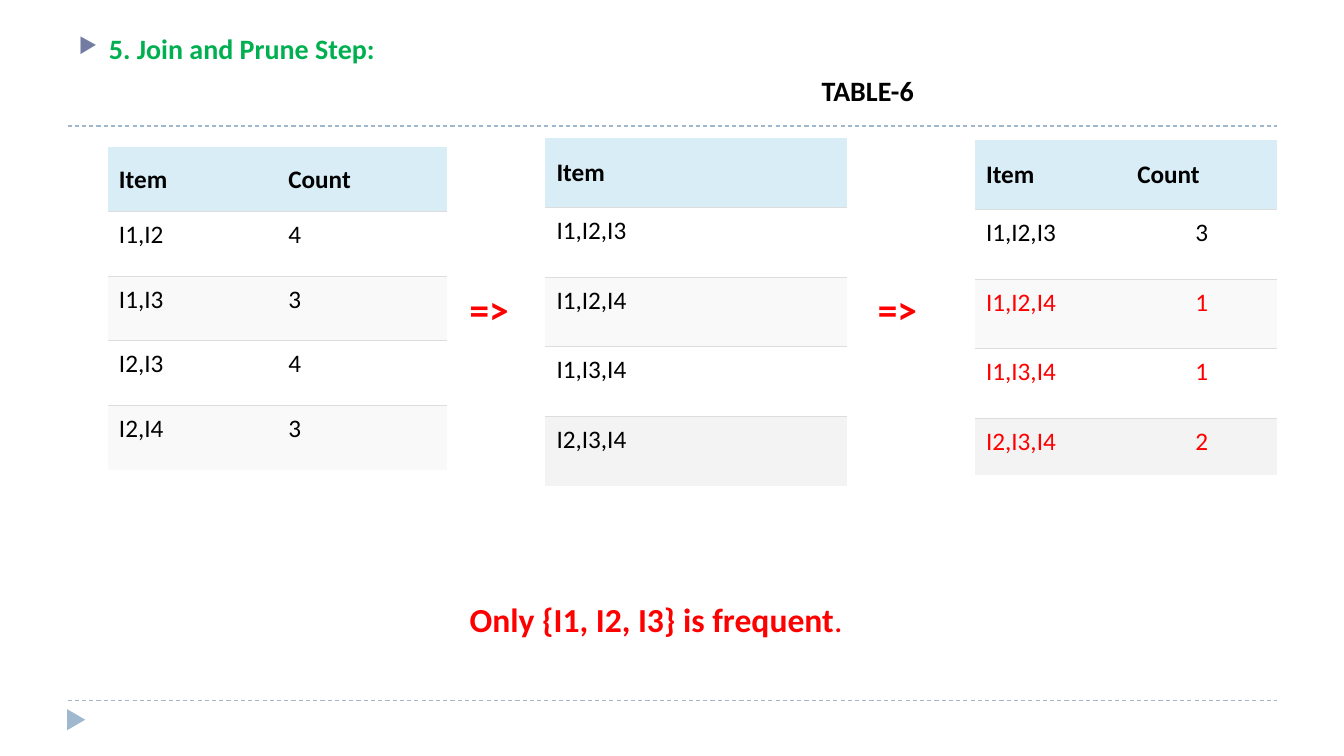
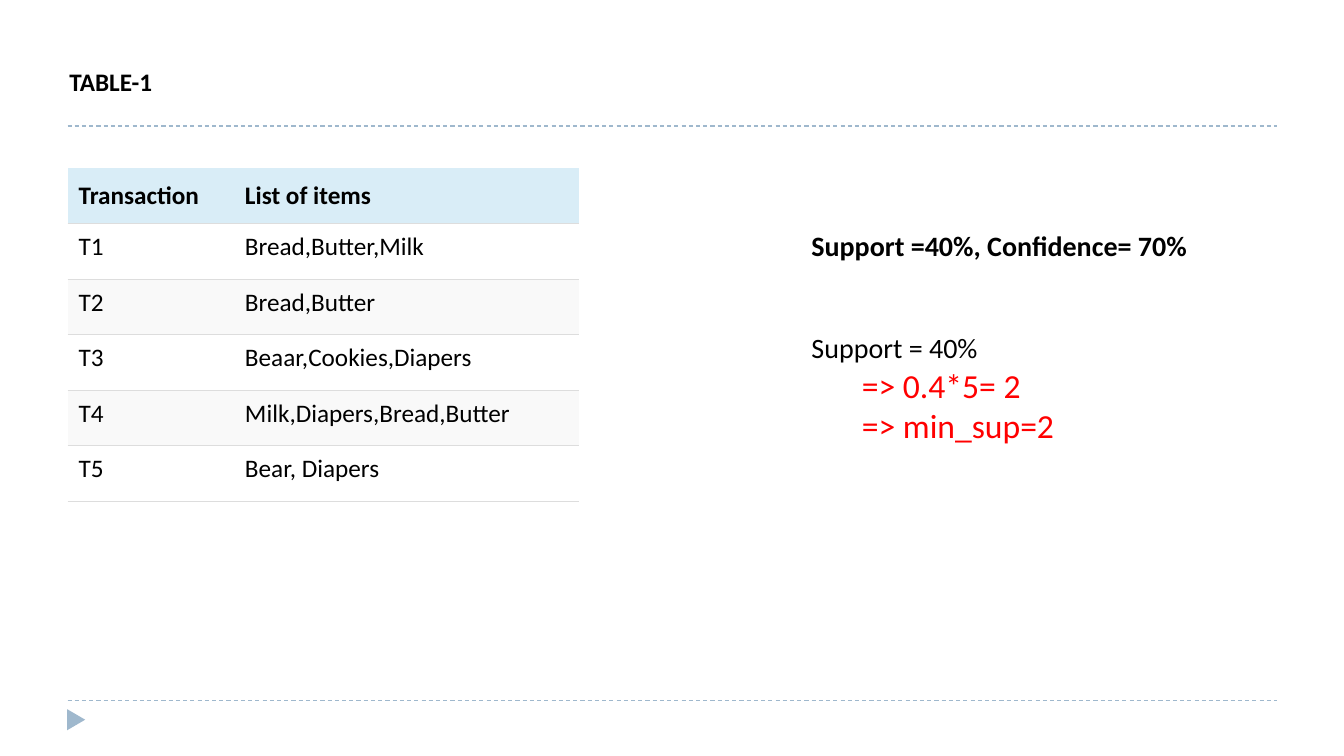
from lxml import etree
from pptx import Presentation
from pptx import util as u
from pptx.dml.color import RGBColor
from pptx.enum import dml, shapes, text
from pptx.oxml import ns

FONT = "Calibri"
BLACK, RED, GREEN = "000000", "FF0000", "00B050"
RULE, BULLET, CELL_LINE = "9FB8CD", "727CA3", "DDDDDD"
HEADER_FILL, WHITE, BAND, DARK_BAND = "D9EDF7", "FFFFFF", "F9F9F9", "F3F3F3"
PLAIN_TABLE = "{2D5ABB26-0587-4C30-8999-92F81FD0307C}"
LEFT, RIGHT = 0.67, 12.67


def rgb(value):
    return RGBColor.from_string(value)


def child(parent, tag, **attributes):
    return etree.SubElement(parent, ns.qn(tag), **attributes)


def style(font, size, color=BLACK, bold=False):
    font.name, font.size, font.bold = FONT, u.Pt(size), bold
    font.color.rgb = rgb(color)


def add_rule(slide, y):
    line = slide.shapes.add_connector(
        shapes.MSO_CONNECTOR.STRAIGHT,
        u.Inches(LEFT), u.Inches(y), u.Inches(RIGHT), u.Inches(y))
    line.line.color.rgb = rgb(RULE)
    line.line.width = u.Pt(0.75)
    line.line.dash_style = dml.MSO_LINE.DASH
    child(line._element.spPr, "a:effectLst")


def add_slide(deck):
    """Add a blank slide with the shared rules and corner marker."""
    slide = deck.slides.add_slide(deck.slide_layouts[6])
    for y in (6.95, 1.25):
        add_rule(slide, y)
    marker = slide.shapes.add_shape(
        shapes.MSO_SHAPE.ISOSCELES_TRIANGLE,
        u.Inches(0.65), u.Inches(7.05), u.Inches(0.21), u.Inches(0.18))
    marker.rotation = 90
    marker.shadow.inherit = False
    marker.fill.solid()
    marker.fill.fore_color.rgb = rgb(RULE)
    marker.line.fill.background()
    return slide


def add_text(slide, place, lines, wrap=False):
    """Write lines of (text, size, color, bold), one paragraph each."""
    box = slide.shapes.add_textbox(*map(u.Inches, place))
    frame = box.text_frame
    frame.word_wrap = wrap
    for index, (words, *look) in enumerate(lines):
        para = frame.add_paragraph() if index else frame.paragraphs[0]
        para.text = words
        style(para.runs[0].font, *look)
    return frame


def add_heading(slide, words):
    frame = add_text(slide, (LEFT, 0.25, 12, 0.46),
                     [(words, 20, GREEN, True)], wrap=True)
    frame.margin_left, frame.margin_top = u.Inches(0.11), u.Inches(0.06)
    props = frame.paragraphs[0]._p.get_or_add_pPr()
    props.set("marL", str(u.Inches(0.3)))
    props.set("indent", str(u.Inches(-0.3)))
    color = child(props, "a:buClr")
    child(color, "a:srgbClr", val=BULLET)
    child(props, "a:buSzPct", val="76000")
    child(props, "a:buChar", char="▶")


def add_border(cell, tag):
    line = child(cell._tc.get_or_add_tcPr(), tag, w=str(u.Pt(0.75)))
    fill = child(line, "a:solidFill")
    child(fill, "a:srgbClr", val=CELL_LINE)


def add_grid(slide, left, top, widths, heights, rows, last_fill=None,
             closed=False, red_from=None, centred=None):
    """Draw a banded table; red_from is a row, centred is a column."""
    grid = slide.shapes.add_table(
        len(rows), len(widths), u.Inches(left), u.Inches(top),
        u.Inches(sum(widths)), u.Inches(sum(heights))).table
    grid.first_row = grid.horz_banding = False
    grid._tbl.tblPr.find(ns.qn("a:tableStyleId")).text = PLAIN_TABLE
    for column, width in zip(grid.columns, widths):
        column.width = u.Inches(width)
    last = len(rows) - 1
    for r, row in enumerate(rows):
        grid.rows[r].height = u.Inches(heights[r])
        fill = WHITE if r % 2 else BAND
        if r == 0:
            fill = HEADER_FILL
        elif r == last and last_fill:
            fill = last_fill
        red = red_from is not None and r >= red_from
        for c, words in enumerate(row):
            cell = grid.cell(r, c)
            cell.margin_left = cell.margin_right = u.Inches(0.11)
            cell.margin_top = cell.margin_bottom = u.Inches(0.08)
            if r:
                add_border(cell, "a:lnT")
            if r < last or closed:
                add_border(cell, "a:lnB")
            cell.fill.solid()
            cell.fill.fore_color.rgb = rgb(fill)
            cell.text_frame.text = words
            para = cell.text_frame.paragraphs[0]
            style(para.runs[0].font, 18, RED if red else BLACK, r == 0)
            if r == 0:
                cell.vertical_anchor = text.MSO_ANCHOR.MIDDLE
            elif c == centred:
                para.alignment = text.PP_ALIGN.CENTER


def join_and_prune(deck):
    slide = add_slide(deck)
    add_heading(slide, "5. Join and Prune Step:")
    add_text(slide, (8.05, 0.68, 1.12, 0.44), [("TABLE-6", 20, BLACK, True)])
    triples = ["I1,I2,I3", "I1,I2,I4", "I1,I3,I4", "I2,I3,I4"]
    add_grid(slide, 5.41, 1.37, [2.99], [0.69] * 5,
             [["Item"]] + [[triple] for triple in triples],
             last_fill=DARK_BAND)
    add_grid(slide, 1.07, 1.46, [1.68, 1.68], [0.64] * 5,
             [["Item", "Count"], ["I1,I2", "4"], ["I1,I3", "3"],
              ["I2,I3", "4"], ["I2,I4", "3"]])
    add_grid(slide, 9.67, 1.39, [1.5, 1.5], [0.69] * 4 + [0.56],
             [["Item", "Count"], *zip(triples, "3112")],
             last_fill=DARK_BAND, red_from=2, centred=1)
    for left in (4.56, 8.61):
        add_text(slide, (left, 2.78, 0.66, 0.57), [("=>", 28, RED, True)])
    result = add_text(slide, (4.56, 5.89, 4.34, 0.5),
                      [("Only {I1, I2, I3} is frequent", 24, RED, True)])
    stop = result.paragraphs[0].add_run()
    stop.text = "."
    style(stop.font, 24, RED)


def transactions(deck):
    slide = add_slide(deck)
    add_grid(slide, LEFT, 1.67, [1.65, 3.42], [0.55] * 6,
             [["Transaction", "List of items"],
              ["T1", "Bread,Butter,Milk"],
              ["T2", "Bread,Butter"],
              ["T3", "Beaar,Cookies,Diapers"],
              ["T4", "Milk,Diapers,Bread,Butter"],
              ["T5", "Bear, Diapers"]], closed=True)
    add_text(slide, (0.59, 0.61, 1.27, 0.4), [("TABLE-1", 18, BLACK, True)])
    support = add_text(slide, (7.95, 2.22, 5, 2.59), [
        ("Support =40%, Confidence= 70%", 20, BLACK, True),
        ("Support = 40%", 20),
        ("=> 0.4*5= 2", 24, RED),
        ("=> min_sup=2", 24, RED)], wrap=True)
    support.paragraphs[1].space_before = u.Pt(49)
    for para in support.paragraphs[2:]:
        para._p.get_or_add_pPr().set("marL", str(u.Inches(0.5)))


def main():
    deck = Presentation()
    deck.slide_width, deck.slide_height = u.Inches(13.33), u.Inches(7.5)
    join_and_prune(deck)
    transactions(deck)
    deck.save("out.pptx")


if __name__ == "__main__":
    main()
